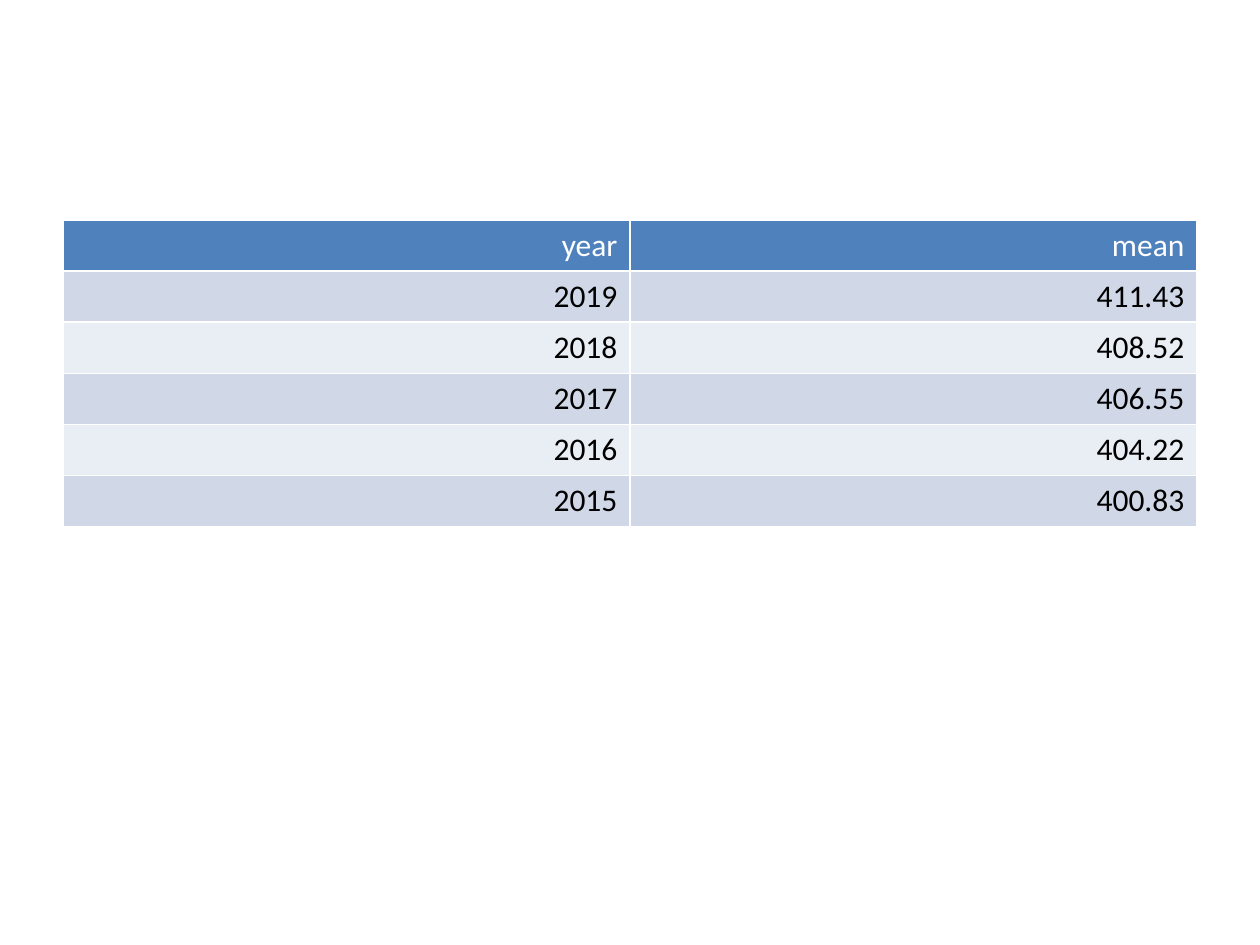
import pptx
import pptx.dml.color
import pptx.enum.text
import pptx.util

PIXEL = pptx.util.Inches(1) / 126
COLORS = {
    "header": "4F81BD",
    "odd_row": "D0D8E8",
    "even_row": "E9EDF4",
    "header_text": "FFFFFF",
    "body_text": "000000",
}
YEARLY_MEANS = [
    ("year", "mean"),
    ("2019", "411.43"),
    ("2018", "408.52"),
    ("2017", "406.55"),
    ("2016", "404.22"),
    ("2015", "400.83"),
]


def px(length):
    """Turn pixels into EMU."""
    return pptx.util.Emu(round(length * PIXEL))


def color(name):
    """Look up a colour by name."""
    return pptx.dml.color.RGBColor.from_string(COLORS[name])


class SlideBuilder:
    """Holds the text style and the current slide."""

    font_name = "Calibri"
    font_size = pptx.util.Pt(18)

    def __init__(self, slide):
        """Start on the given slide."""
        self.slide = slide

    def cell(self, cell, text, fill, text_color):
        """Fill one table cell with right-aligned text."""
        cell.fill.solid()
        cell.fill.fore_color.rgb = color(fill)
        cell.text = text
        paragraph = cell.text_frame.paragraphs[0]
        paragraph.alignment = pptx.enum.text.PP_ALIGN.RIGHT
        font = paragraph.font
        font.name, font.size, font.bold = self.font_name, self.font_size, False
        font.color.rgb = color(text_color)

    def table(self, rows, left, top, width, row_height):
        """Add a table with a header and banded rows; the table style draws white rules."""
        table = self.slide.shapes.add_table(
            len(rows), len(rows[0]), px(left), px(top), px(width), px(row_height * len(rows))
        ).table
        for r, values in enumerate(rows):
            if r == 0:
                fill, text_color = "header", "header_text"
            else:
                fill, text_color = ("odd_row" if r % 2 else "even_row"), "body_text"
            for c, value in enumerate(values):
                self.cell(table.cell(r, c), value, fill, text_color)


presentation = pptx.Presentation()
presentation.slide_width, presentation.slide_height = px(1260), px(945)
builder = SlideBuilder(presentation.slides.add_slide(presentation.slide_layouts[6]))
builder.table(YEARLY_MEANS, left=63, top=220, width=1134, row_height=51)
presentation.save("out.pptx")
